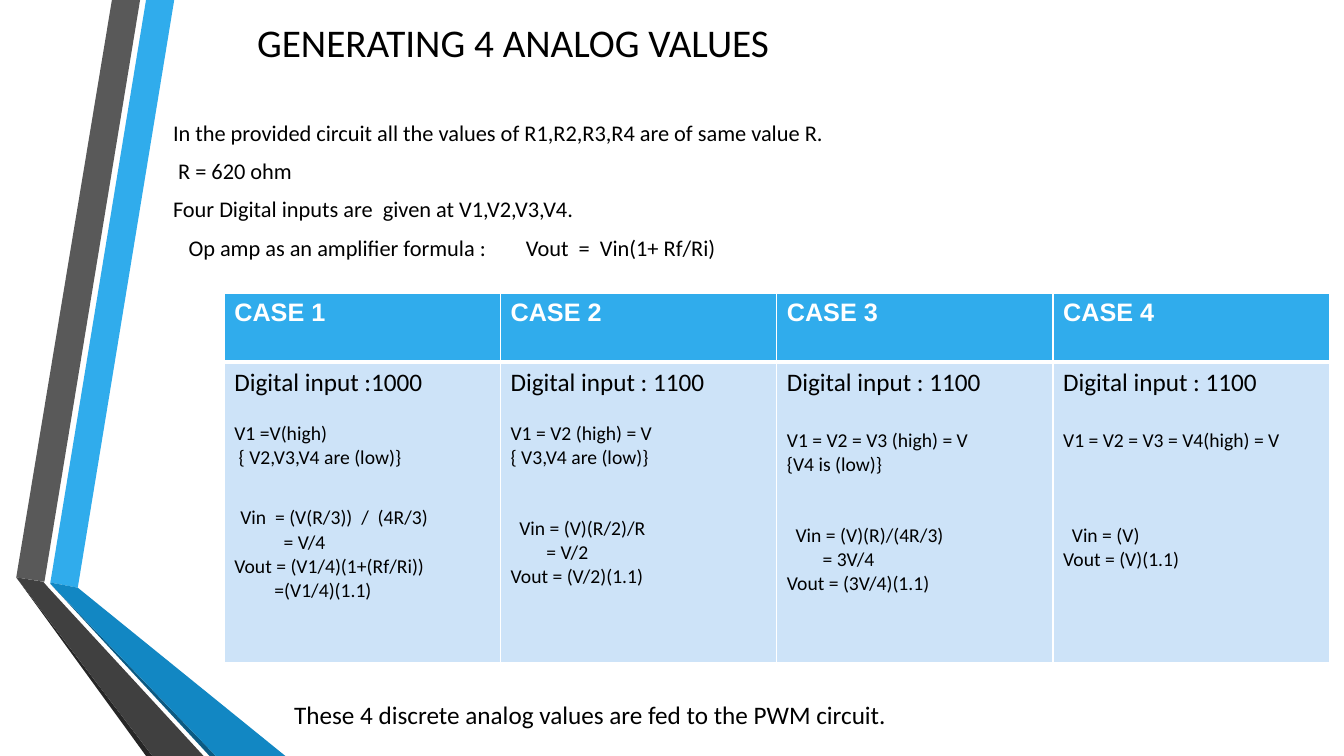
from lxml.etree import SubElement
from pptx import Presentation
from pptx.dml.color import RGBColor
from pptx.enum.text import MSO_ANCHOR, PP_ALIGN
from pptx.oxml.ns import qn
from pptx.util import Cm, Pt

BLACK = RGBColor(0x00, 0x00, 0x00)
WHITE = RGBColor(0xFF, 0xFF, 0xFF)
SKY = RGBColor(0x30, 0xAC, 0xEC)
PALE_BLUE = RGBColor(0xCD, 0xE3, 0xF8)
GREY = RGBColor(0x59, 0x59, 0x59)
SHADOW_GREY = RGBColor(0x26, 0x26, 0x26)
SHADOW_BLUE = RGBColor(0x0C, 0x5A, 0x82)
DEEP_BLUE = RGBColor(0x12, 0x87, 0xC3)
CHARCOAL = RGBColor(0x40, 0x40, 0x40)

WIDTH, HEIGHT = 33.86, 19.05
RIBBONS = [
    (SKY, [(1.27, 14.68), (1.96, 14.81), (4.39, 0), (3.68, 0)]),
    (GREY, [(3.53, 0), (2.82, 0), (0.41, 14.55), (1.12, 14.66)]),
    (SHADOW_GREY, [(0.41, 14.55), (3.68, HEIGHT), (3.84, HEIGHT)]),
    (SHADOW_BLUE, [(1.27, 14.71), (5.28, HEIGHT), (5.44, HEIGHT)]),
    (DEEP_BLUE, [(1.27, 14.68), (1.27, 14.71), (5.44, HEIGHT), (7.19, HEIGHT), (1.96, 14.81)]),
    (CHARCOAL, [(5.13, HEIGHT), (1.22, 14.81), (1.09, 14.66), (0.41, 14.55), (3.84, HEIGHT)]),
]

TITLE = "GENERATING 4 ANALOG VALUES"
INTRODUCTION = [
    ("In the provided circuit all the values of R1,R2,R3,R4 are of same value R.", 0),
    ("R = 620 ohm", 0.13),
    ("Four Digital inputs are  given at V1,V2,V3,V4.", 0),
    ("Op amp as an amplifier formula :\tVout  =  Vin(1+ Rf/Ri)", 0.39),
]
FORMULA_TAB = 8.41
CONCLUSION = "These 4 discrete analog values are fed to the PWM circuit."

# text, indent in centimetres, space before in points
CASES = [
    ("CASE 1", "Digital input :1000", [
        ("V1 =V(high)", 0, 17),
        ("{ V2,V3,V4 are (low)}", 0.11, 0),
        ("Vin  = (V(R/3))  /  (4R/3)", 0.15, 26),
        ("= V/4", 1.24, 1),
        ("Vout = (V1/4)(1+(Rf/Ri))", 0, 0),
        ("=(V1/4)(1.1)", 1.01, 0),
    ]),
    ("CASE 2", "Digital input : 1100", [
        ("V1 = V2 (high) = V", 0, 17),
        ("{ V3,V4 are (low)}", 0, 0),
        ("Vin = (V)(R/2)/R", 0.22, 34),
        ("= V/2", 0.9, 0),
        ("Vout = (V/2)(1.1)", 0, 0),
    ]),
    ("CASE 3", "Digital input : 1100", [
        ("V1 = V2 = V3 (high) = V", 0, 22),
        ("{V4 is (low)}", 0, 0),
        ("Vin = (V)(R)/(4R/3)", 0.22, 34),
        ("= 3V/4", 0.9, 0),
        ("Vout = (3V/4)(1.1)", 0, 0),
    ]),
    ("CASE 4", "Digital input : 1100", [
        ("V1 = V2 = V3 = V4(high) = V", 0, 22),
        ("Vin = (V)", 0.22, 51),
        ("Vout = (V)(1.1)", 0, 0),
    ]),
]
COLUMN_WIDTH = 6.96
ROW_HEIGHTS = (1.73, 7.57)


def write(paragraph, text, size, color=BLACK, font="Calibri", bold=False, indent=0, before=0):
    paragraph.text = text
    paragraph.space_before = Pt(before)
    if indent:
        properties = paragraph._p.get_or_add_pPr()
        properties.set("marL", "0")
        properties.set("indent", str(Cm(indent)))
    for run in paragraph.runs:
        run.font.name = font
        run.font.size = Pt(size)
        run.font.bold = bold
        run.font.color.rgb = color


def add_text_box(slide, left, top, width, height):
    frame = slide.shapes.add_textbox(Cm(left), Cm(top), Cm(width), Cm(height)).text_frame
    frame.word_wrap = True
    return frame


def next_paragraph(frame, index):
    return frame.add_paragraph() if index else frame.paragraphs[0]


def style_cell(cell, color, bottom_width):
    properties = cell._tc.get_or_add_tcPr()
    for side, width in (("lnL", 1), ("lnR", 1), ("lnT", 1), ("lnB", bottom_width)):
        line = SubElement(properties, qn(f"a:{side}"), w=str(Pt(width)))
        fill = SubElement(line, qn("a:solidFill"))
        SubElement(fill, qn("a:srgbClr"), val=str(WHITE))
    cell.fill.solid()
    cell.fill.fore_color.rgb = color


def add_ribbons(slide):
    for color, points in RIBBONS:
        corners = [(Cm(x), Cm(y)) for x, y in points]
        builder = slide.shapes.build_freeform(*corners[0])
        builder.add_line_segments(corners[1:], close=True)
        shape = builder.convert_to_shape()
        shape.shadow.inherit = False
        shape.fill.solid()
        shape.fill.fore_color.rgb = color
        shape.line.fill.background()


def add_title(slide):
    title = slide.shapes.title
    title.left, title.top, title.width, title.height = Cm(4.11), Cm(0), Cm(17.63), Cm(2.11)
    title.text_frame.vertical_anchor = MSO_ANCHOR.MIDDLE
    paragraph = title.text_frame.paragraphs[0]
    write(paragraph, TITLE, 28)
    paragraph.alignment = PP_ALIGN.CENTER


def add_introduction(slide):
    frame = add_text_box(slide, 4.11, 2.97, 27.84, 4.2)
    for index, (text, indent) in enumerate(INTRODUCTION):
        paragraph = next_paragraph(frame, index)
        write(paragraph, text, 16, indent=indent, before=3)
        paragraph.line_spacing = Pt(16.4)
        paragraph.space_after = Pt(8)
        if "\t" in text:
            tabs = SubElement(paragraph._p.get_or_add_pPr(), qn("a:tabLst"))
            SubElement(tabs, qn("a:tab"), pos=str(Cm(FORMULA_TAB)), algn="l")


def add_case_table(slide):
    table = slide.shapes.add_table(
        2, len(CASES), Cm(5.65), Cm(7.4), Cm(COLUMN_WIDTH * len(CASES)), Cm(sum(ROW_HEIGHTS))
    ).table
    for row, height in zip(table.rows, ROW_HEIGHTS):
        row.height = Cm(height)
    for index, (heading, digital_input, steps) in enumerate(CASES):
        table.columns[index].width = Cm(COLUMN_WIDTH)
        header, body = table.cell(0, index), table.cell(1, index)
        style_cell(header, SKY, 3)
        style_cell(body, PALE_BLUE, 1)
        write(header.text_frame.paragraphs[0], heading, 18, WHITE, "Arial", True)
        write(body.text_frame.paragraphs[0], digital_input, 18)
        for text, indent, before in steps:
            write(body.text_frame.add_paragraph(), text, 14, indent=indent, before=before)


def main():
    presentation = Presentation()
    presentation.slide_width, presentation.slide_height = Cm(WIDTH), Cm(HEIGHT)
    slide = presentation.slides.add_slide(presentation.slide_layouts[5])
    add_ribbons(slide)
    add_title(slide)
    add_introduction(slide)
    add_case_table(slide)
    conclusion = add_text_box(slide, 7.16, 17.5, 25.43, 1.02)
    write(conclusion.paragraphs[0], CONCLUSION, 18)
    presentation.save("out.pptx")


if __name__ == "__main__":
    main()
